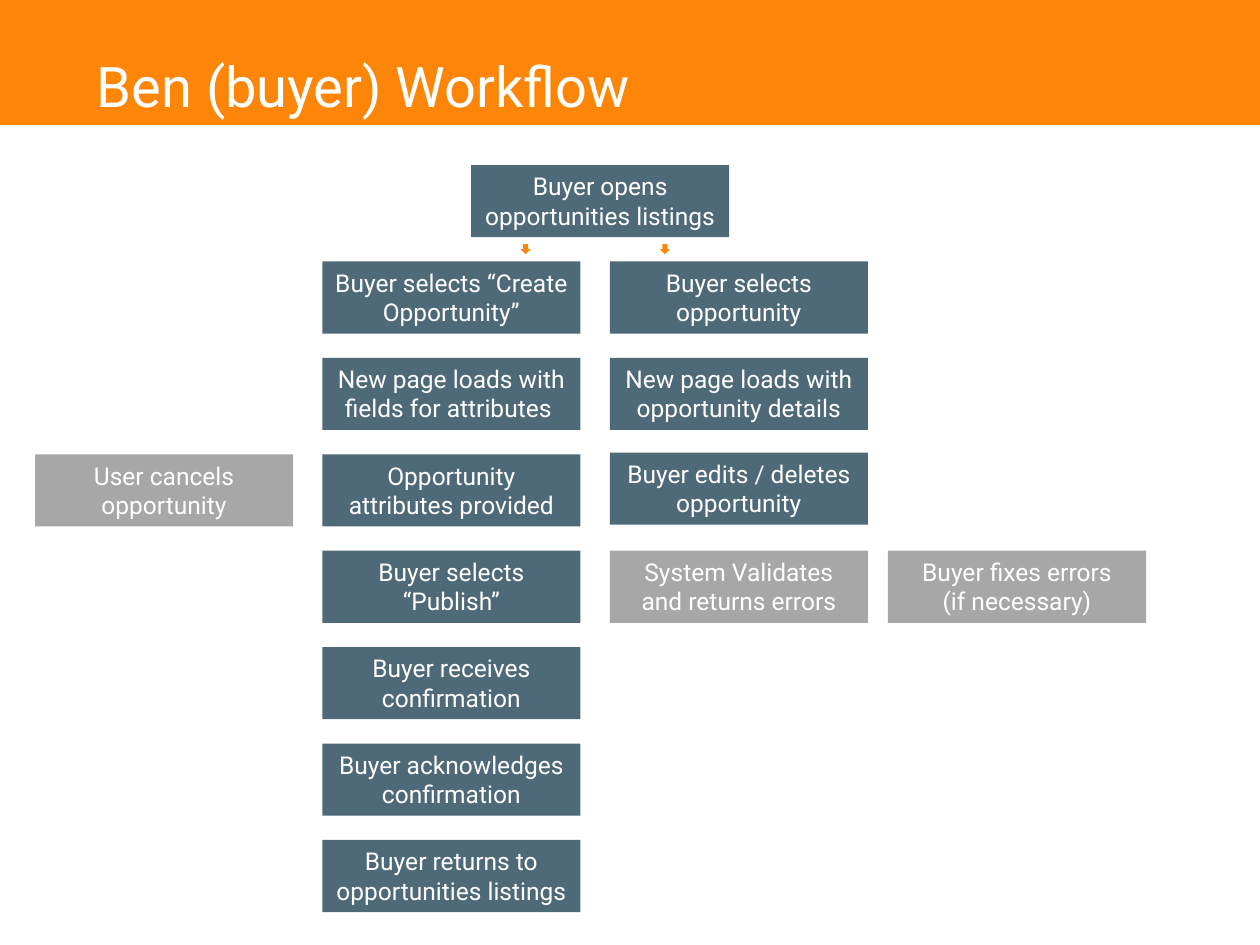
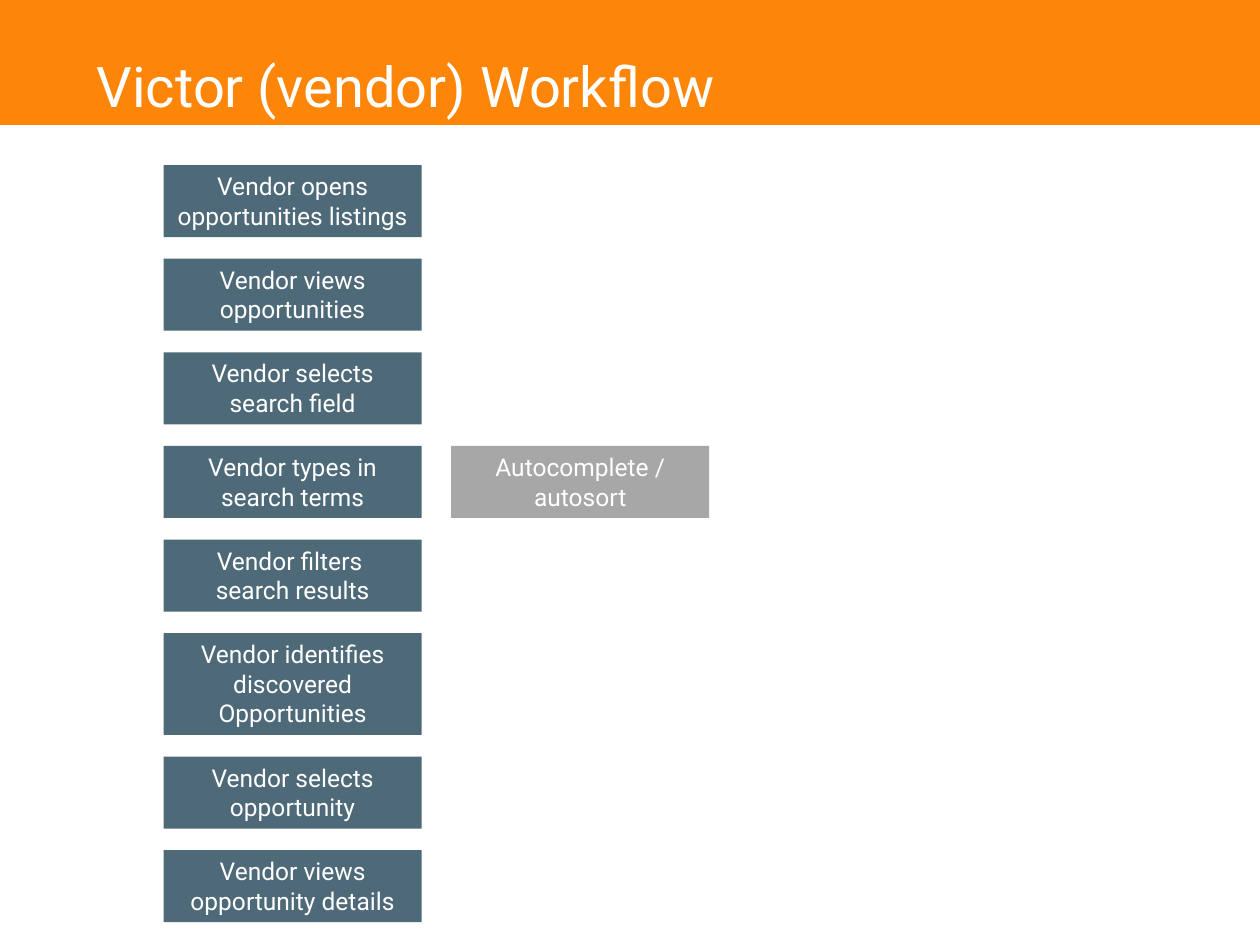
from dataclasses import dataclass

from pptx import Presentation
from pptx.dml.color import RGBColor
from pptx.enum.shapes import MSO_SHAPE
from pptx.enum.text import MSO_ANCHOR, PP_ALIGN
from pptx.shapes.autoshape import Shape
from pptx.slide import Slide
from pptx.text.text import TextFrame
from pptx.util import Pt

RECTANGLE = MSO_SHAPE.RECTANGLE
DOWN_ARROW = MSO_SHAPE.DOWN_ARROW
TOP = MSO_ANCHOR.TOP
LEFT, CENTER = PP_ALIGN.LEFT, PP_ALIGN.CENTER

COLORS = {"band": "FD8508", "main": "4E6A78", "side": "A7A7A7", "text": "FFFFFF"}
FONT = "Roboto"
SLIDE_WIDTH, SLIDE_HEIGHT = 720, 540
BAND_HEIGHT = 71.4
STEP_WIDTH = 147.5
LINE_HEIGHT = 17
STEP_PADDING = 7.2
FIRST_TOP = 94.3
BUYER_GAP, VENDOR_GAP = 13.9, 12.3
ARROW_SIZE = 5.8


@dataclass
class Step:
    text: str
    lines: int = 2

    @property
    def height(self) -> float:
        return STEP_PADDING + self.lines * LINE_HEIGHT


@dataclass
class Column:
    left: float
    steps: list[Step]
    row: int = 0
    color: str = "main"
    nudge: float = 0


@dataclass
class Arrow:
    left: float
    top: float


@dataclass
class Workflow:
    title: str
    gap: float
    columns: list[Column]
    arrows: list[Arrow]


BUYER = Workflow(
    "Ben (buyer) Workflow",
    BUYER_GAP,
    [
        Column(269.2, [Step("Buyer opens opportunities listings ")]),
        Column(184.2, [
            Step("Buyer selects “Create Opportunity”"),
            Step("New page loads with fields for attributes "),
            Step("Opportunity attributes provided"),
            Step("Buyer selects “Publish”"),
            Step("Buyer receives confirmation"),
            Step("Buyer acknowledges confirmation"),
            Step("Buyer returns to opportunities listings"),
        ], row=1),
        Column(348.5, [
            Step("Buyer selects opportunity"),
            Step("New page loads with opportunity details"),
        ], row=1),
        Column(348.5, [Step("Buyer edits / deletes opportunity")], row=3, nudge=-0.9),
        Column(20, [Step("User cancels opportunity")], row=3, color="side"),
        Column(348.5, [Step("System Validates and returns errors")], row=4, color="side"),
        Column(507.4, [Step("Buyer fixes errors\n(if necessary)")], row=4, color="side"),
    ],
    [Arrow(297.5, 139.5), Arrow(377, 139.5)],
)

VENDOR = Workflow(
    "Victor (vendor) Workflow",
    VENDOR_GAP,
    [
        Column(93.5, [
            Step("Vendor opens opportunities listings "),
            Step("Vendor views opportunities"),
            Step("Vendor selects search field"),
            Step("Vendor types in search terms"),
            Step("Vendor filters \nsearch results"),
            Step("Vendor identifies discovered Opportunities", lines=3),
            Step("Vendor selects opportunity"),
            Step("Vendor views opportunity details"),
        ]),
        Column(257.8, [Step("Autocomplete / autosort")], row=3, color="side"),
    ],
    [],
)


def write(frame: TextFrame, text: str, size: float, alignment: PP_ALIGN) -> None:
    frame.word_wrap = True
    frame.vertical_anchor = TOP
    frame.text = text
    for paragraph in frame.paragraphs:
        paragraph.alignment = alignment
        for run in paragraph.runs:
            run.font.name = FONT
            run.font.size = Pt(size)
            run.font.color.rgb = RGBColor.from_string(COLORS["text"])


def add_block(slide: Slide, kind: MSO_SHAPE, left: float, top: float,
              width: float, height: float, color: str) -> Shape:
    block = slide.shapes.add_shape(kind, Pt(left), Pt(top), Pt(width), Pt(height))
    block.shadow.inherit = False
    block.fill.solid()
    block.fill.fore_color.rgb = RGBColor.from_string(COLORS[color])
    block.line.fill.background()
    return block


def add_header(slide: Slide, title: str) -> None:
    add_block(slide, RECTANGLE, 0, 0, SLIDE_WIDTH, BAND_HEIGHT, "band")
    heading = slide.shapes.add_textbox(Pt(48.2), Pt(25.9), Pt(533), Pt(46))
    write(heading.text_frame, title, 32, LEFT)


def add_column(slide: Slide, column: Column, gap: float) -> None:
    top = FIRST_TOP + column.row * (Step("").height + gap) + column.nudge
    for step in column.steps:
        block = add_block(slide, RECTANGLE, column.left, top,
                          STEP_WIDTH, step.height, column.color)
        write(block.text_frame, step.text, 14, CENTER)
        top += step.height + gap


def add_workflow(deck: Presentation, workflow: Workflow) -> None:
    slide = deck.slides.add_slide(deck.slide_layouts[6])
    add_header(slide, workflow.title)
    for column in workflow.columns:
        add_column(slide, column, workflow.gap)
    for arrow in workflow.arrows:
        add_block(slide, DOWN_ARROW, arrow.left, arrow.top,
                  ARROW_SIZE, ARROW_SIZE, "band")


def main() -> None:
    deck = Presentation()
    deck.slide_width, deck.slide_height = Pt(SLIDE_WIDTH), Pt(SLIDE_HEIGHT)
    for workflow in (BUYER, VENDOR):
        add_workflow(deck, workflow)
    deck.save("out.pptx")


if __name__ == "__main__":
    main()
